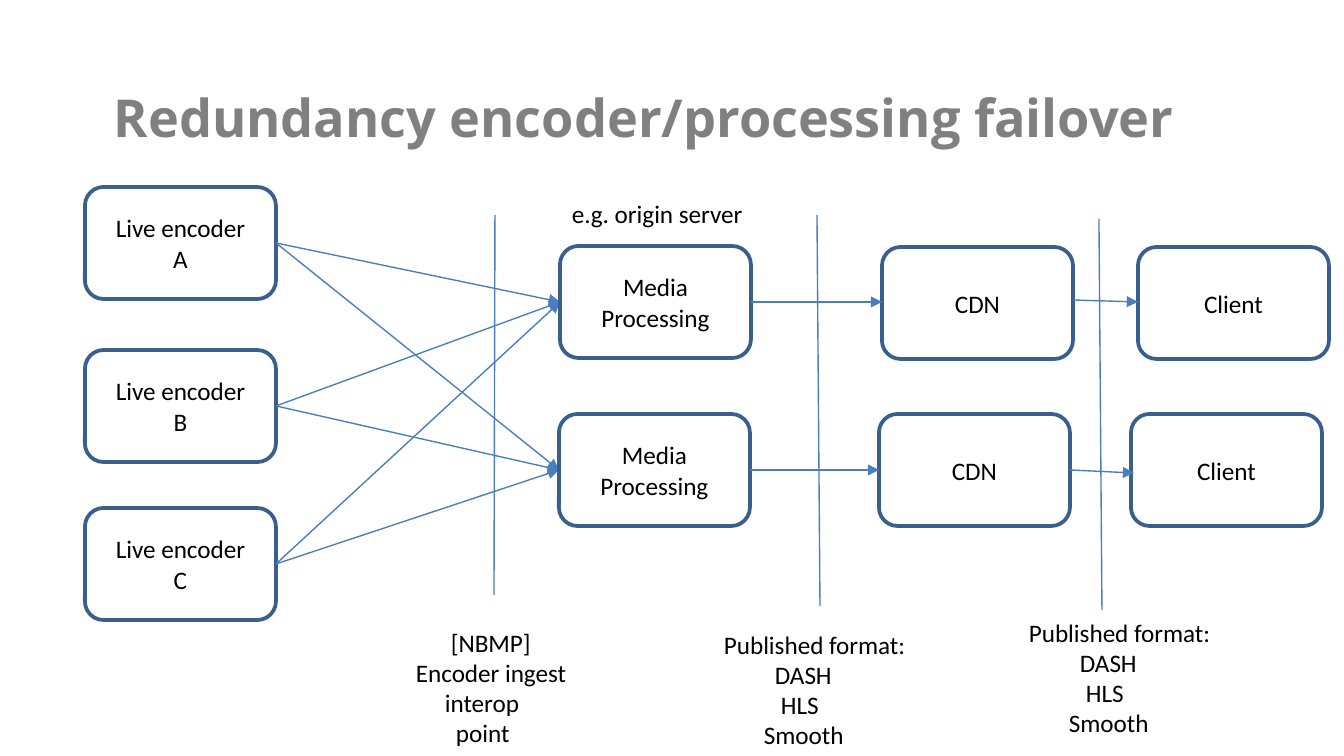
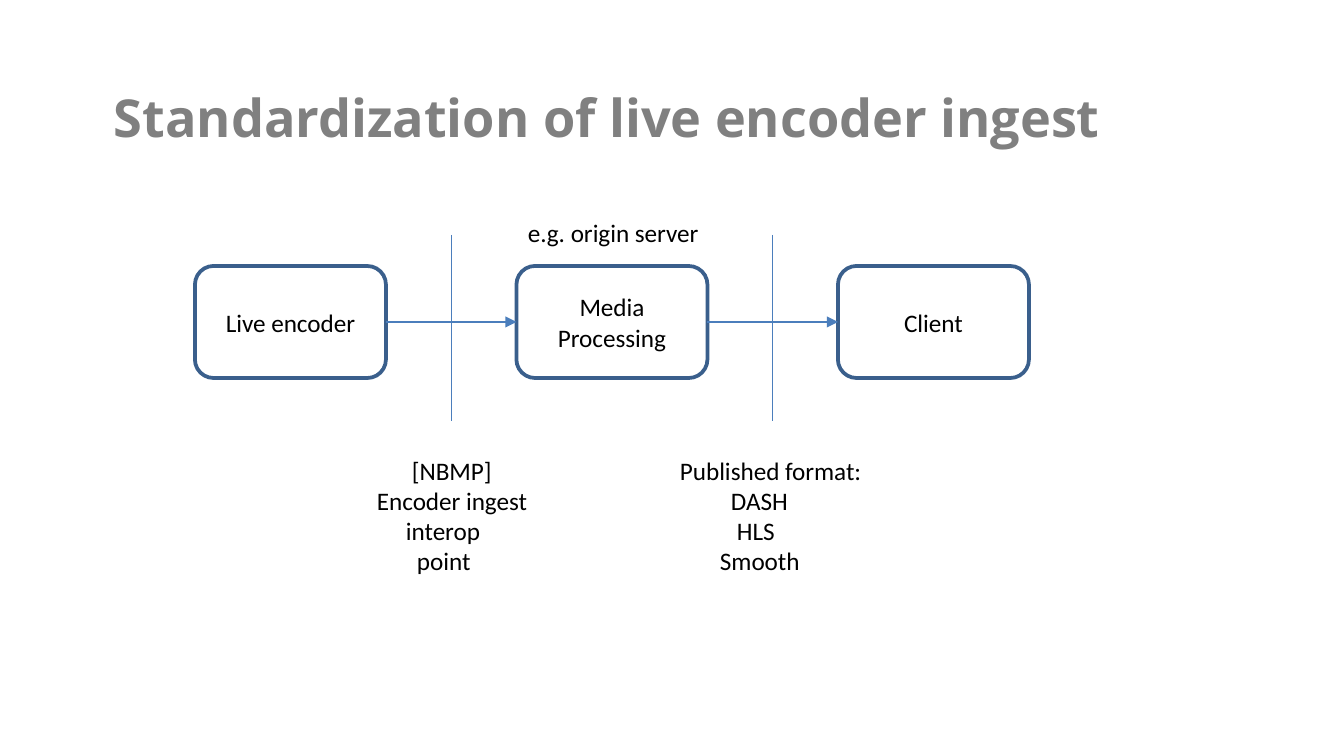
import pptx
import pptx.util
import pptx.dml.color
import pptx.enum.shapes
import pptx.enum.text
import pptx.oxml.ns
import lxml.etree

SCALE = 914400 / 134.4
PAGE_WIDTH, PAGE_HEIGHT = 1344, 756
NODE_WIDTH, NODE_HEIGHT = 191, 112
OUTLINE, CONNECTOR, TITLE, INK = "3A5F8C", "4B7EBC", "808080", "000000"
INGEST_POINT = [("[NBMP]", 35), ("Encoder ingest", 0), ("interop", 29), ("point", 40)]
PUBLISHED = [("Published format:", 0), ("DASH", 51), ("HLS", 57), ("Smooth", 40)]
ANCHOR = pptx.enum.text.MSO_ANCHOR
ALIGN = pptx.enum.text.PP_ALIGN


def emu(pixels):
    return pptx.util.Emu(round(pixels * SCALE))


def color(value):
    return pptx.dml.color.RGBColor.from_string(value)


def write(box, lines, font="Calibri", size=13.5, ink=INK, bold=False,
          align=ALIGN.LEFT, anchor=ANCHOR.TOP, margins=(13, 7)):
    frame = box.text_frame
    frame.word_wrap = True
    frame.vertical_anchor = anchor
    frame.margin_left = frame.margin_right = emu(margins[0])
    frame.margin_top = frame.margin_bottom = emu(margins[1])
    for index, (words, indent) in enumerate(lines):
        para = frame.add_paragraph() if index else frame.paragraphs[0]
        para.alignment = align
        if indent:
            para._p.get_or_add_pPr().set("marL", str(emu(indent)))
        span = para.add_run()
        span.text = words
        span.font.name = font
        span.font.size = pptx.util.Pt(size)
        span.font.bold = bold
        span.font.color.rgb = color(ink)


def text_box(page, left, top, width, height, lines, **style):
    box = page.shapes.add_textbox(emu(left), emu(top), emu(width), emu(height))
    write(box, lines, **style)


def title(page, words):
    text_box(page, 101, 35, 1142, 163, [(words, 0)], font="Open Sans", size=28,
             ink=TITLE, bold=True, anchor=ANCHOR.MIDDLE)


def node(page, left, top, *lines):
    box = page.shapes.add_shape(
        pptx.enum.shapes.MSO_SHAPE.ROUNDED_RECTANGLE,
        emu(left), emu(top), emu(NODE_WIDTH), emu(NODE_HEIGHT))
    box.shadow.inherit = False
    box.fill.background()
    box.line.color.rgb = color(OUTLINE)
    box.line.width = pptx.util.Pt(2)
    write(box, [(words, 0) for words in lines], align=ALIGN.CENTER,
          anchor=ANCHOR.MIDDLE, margins=(10, 5))


def line(page, start, end, arrow=False):
    connector = page.shapes.add_connector(
        pptx.enum.shapes.MSO_CONNECTOR.STRAIGHT,
        emu(start[0]), emu(start[1]), emu(end[0]), emu(end[1]))
    connector.line.color.rgb = color(CONNECTOR)
    connector.line.width = pptx.util.Pt(0.75)
    if arrow:
        outline = connector.line._get_or_add_ln()
        lxml.etree.SubElement(outline, pptx.oxml.ns.qn("a:tailEnd"), type="triangle")
    properties = connector._element.spPr
    lxml.etree.SubElement(properties, pptx.oxml.ns.qn("a:effectLst"))


def entry(left, top):
    return left, top + NODE_HEIGHT / 2


def outlet(left, top):
    return left + NODE_WIDTH, top + NODE_HEIGHT / 2


def ingest_label(page, left, top):
    text_box(page, left, top, 180, 136, INGEST_POINT)


def published_label(page, left, top):
    text_box(page, left, top, 216, 136, PUBLISHED)


def origin_label(page, left, top):
    text_box(page, left, top, 200, 44, [("e.g. origin server", 0)])


def failover_diagram(page, left, top):
    def at(across, down):
        return left + across, top + down

    encoders = [at(0, down) for down in (0, 163, 321)]
    processors = [at(475, 59), at(474, 227)]
    networks = [at(797, 60), at(794, 227)]
    clients = [at(1053, 60), at(1046, 227)]
    for name, encoder in zip("ABC", encoders):
        node(page, *encoder, "Live encoder", name)
        for processor in processors:
            line(page, outlet(*encoder), entry(*processor), arrow=True)
    for processor, network, client in zip(processors, networks, clients):
        node(page, *processor, "Media Processing")
        node(page, *network, "CDN")
        node(page, *client, "Client")
        level = outlet(*processor)
        line(page, level, (network[0], level[1]), arrow=True)
    line(page, at(988, 113), at(1053, 115), arrow=True)
    line(page, at(985, 283), at(1049, 286), arrow=True)
    for start, end in [((410, 28), (409, 408)), ((732, 28), (735, 419)),
                       ((1014, 32), (1017, 423))]:
        line(page, at(*start), at(*end))
    origin_label(page, *at(474, 4))
    ingest_label(page, *at(318, 433))
    published_label(page, *at(626, 435))
    published_label(page, *at(931, 423))


def ingest_diagram(page, left, top):
    step = 321.5
    nodes = [(left + index * step, top) for index in range(3)]
    for place, words in zip(nodes, ("Live encoder", "Media Processing", "Client")):
        node(page, *place, words)
    for source, target in zip(nodes, nodes[1:]):
        line(page, outlet(*source), entry(*target), arrow=True)
        middle = (source[0] + NODE_WIDTH + target[0]) / 2
        line(page, (middle, top - 31), (middle, top + 155))
    origin_label(page, left + 320, top - 56)
    ingest_label(page, left + 169, top + 182)
    published_label(page, left + 472, top + 182)


deck = pptx.Presentation()
deck.slide_width = emu(PAGE_WIDTH)
deck.slide_height = emu(PAGE_HEIGHT)
for heading, diagram, left, top in [
        ("Redundancy encoder/processing failover", failover_diagram, 85, 187),
        ("Standardization of live encoder ingest", ingest_diagram, 195, 266)]:
    page = deck.slides.add_slide(deck.slide_layouts[6])
    title(page, heading)
    diagram(page, left, top)
deck.save("out.pptx")
